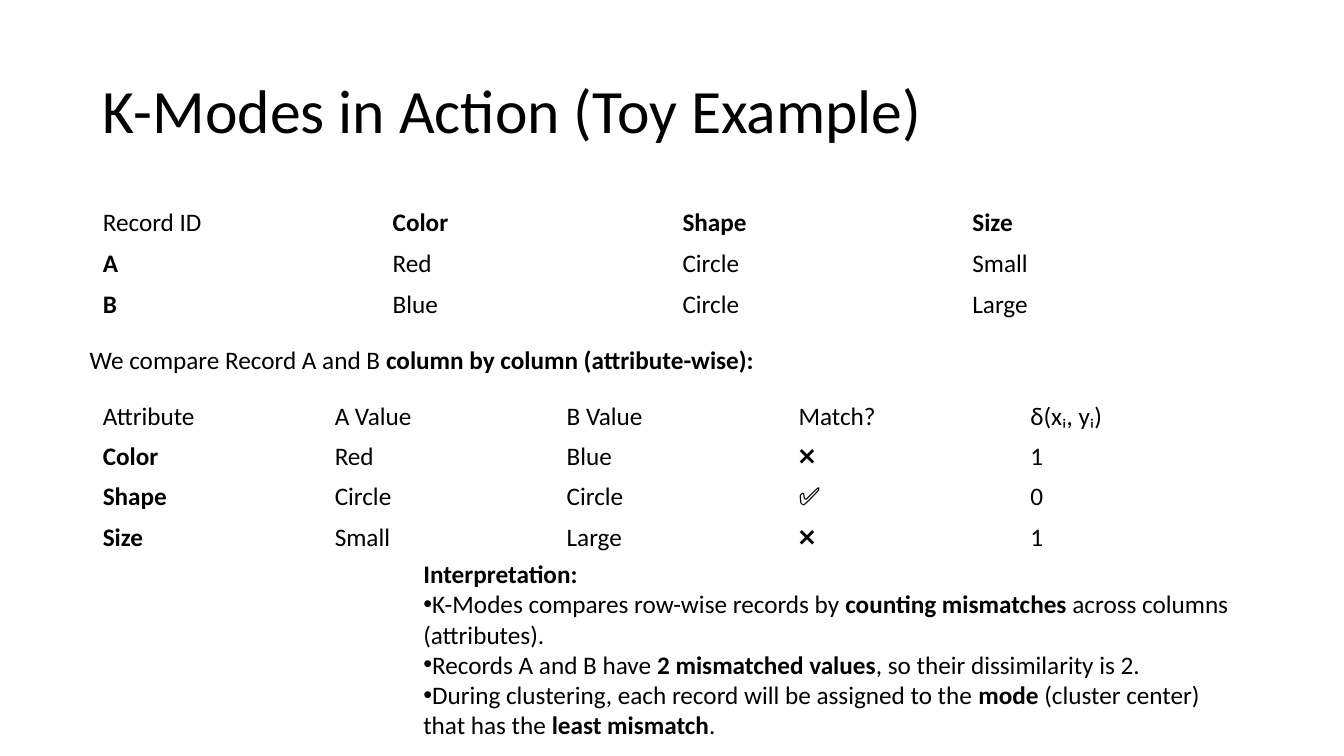
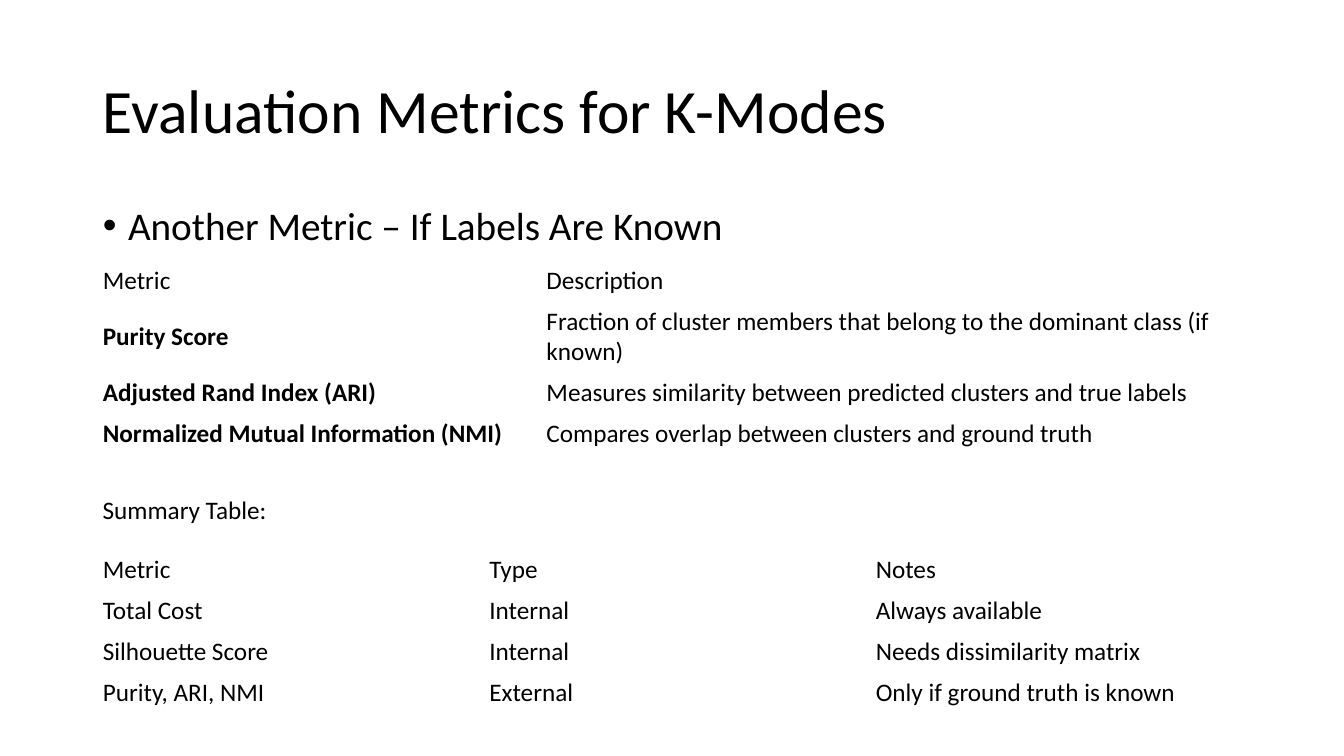
from lxml.etree import SubElement
from pptx import Presentation
from pptx.dml.color import RGBColor
from pptx.enum.text import MSO_ANCHOR as Anchor, MSO_AUTO_SIZE as AutoSize, PP_ALIGN as Align
from pptx.oxml.ns import qn
from pptx.util import Emu, Pt

PX = 9144
COLORS = {"text": "000000", "page": "FFFFFF"}
FONT = "Calibri"
LEFT, WIDTH = 92, 1150
ROW_HEIGHT = 40
TITLE_AND_CONTENT, TITLE_ONLY = 1, 5

RECORDS = [
    ["Record ID", "*Color*", "*Shape*", "*Size*"],
    ["*A*", "Red", "Circle", "Small"],
    ["*B*", "Blue", "Circle", "Large"],
]
COMPARISON = [
    ["Attribute", "A Value", "B Value", "Match?", "δ(xᵢ, yᵢ)"],
    ["*Color*", "Red", "Blue", "❌", "1"],
    ["*Shape*", "Circle", "Circle", "✅", "0"],
    ["*Size*", "Small", "Large", "❌", "1"],
]
INTERPRETATION = [
    "K-Modes compares row-wise records by *counting mismatches* across columns (attributes).",
    "Records A and B have *2 mismatched values*, so their dissimilarity is 2.",
    "During clustering, each record will be assigned to the *mode* (cluster center) "
    "that has the *least mismatch*.",
]
LABEL_METRICS = [
    ["Metric", "Description"],
    ["*Purity Score*", "Fraction of cluster members that belong to the dominant class (if known)"],
    ["*Adjusted Rand Index (ARI)*", "Measures similarity between predicted clusters and true labels"],
    ["*Normalized Mutual Information (NMI)*", "Compares overlap between clusters and ground truth"],
]
SUMMARY = [
    ["Metric", "Type", "Notes"],
    ["Total Cost", "Internal", "Always available"],
    ["Silhouette Score", "Internal", "Needs dissimilarity matrix"],
    ["Purity, ARI, NMI", "External", "Only if ground truth is known"],
]


def px(length):
    return Emu(length * PX)


def apply(target, values):
    for name, value in values.items():
        setattr(target, name, value)


def place(shape, left, top, width, height):
    apply(shape, {"left": px(left), "top": px(top), "width": px(width), "height": px(height)})


def write(para, text, size=18):
    """Fill a paragraph; the parts between asterisks are bold."""
    for index, part in enumerate(text.split("*")):
        if part:
            span = para.add_run()
            span.text = part
            apply(span.font, {"name": FONT, "size": Pt(size), "bold": index % 2 == 1})
            span.font.color.rgb = RGBColor.from_string(COLORS["text"])


def add_bullet(para, indent=0):
    properties = para._p.get_or_add_pPr()
    properties.set("marL", str(px(indent)))
    properties.set("indent", str(px(-indent)))
    SubElement(properties, qn("a:buFont"), typeface="Arial")
    SubElement(properties, qn("a:buChar"), char="•")


def add_page(deck, layout, title):
    page = deck.slides.add_slide(deck.slide_layouts[layout])
    page.background.fill.solid()
    page.background.fill.fore_color.rgb = RGBColor.from_string(COLORS["page"])
    place(page.shapes.title, LEFT, 40, WIDTH, 145)
    frame = page.shapes.title.text_frame
    apply(frame, {"vertical_anchor": Anchor.MIDDLE, "auto_size": AutoSize.NONE, "word_wrap": True})
    para = frame.paragraphs[0]
    apply(para, {"alignment": Align.LEFT, "line_spacing": 0.9})
    write(para, title, 44)
    return page


def fill_body(page, text):
    body = page.placeholders[1]
    place(body, LEFT, 200, WIDTH, 476)
    body.text_frame.auto_size = AutoSize.NONE
    para = body.text_frame.paragraphs[0]
    apply(para, {"line_spacing": 0.9, "space_before": Pt(10)})
    add_bullet(para, 25)
    write(para, text, 28)


def add_text(page, left, top, width, height, text, bullets=(), wrap=True):
    box = page.shapes.add_textbox(px(left), px(top), px(width), px(height))
    frame = box.text_frame
    apply(frame, {"word_wrap": wrap, "auto_size": AutoSize.SHAPE_TO_FIT_TEXT})
    write(frame.paragraphs[0], text)
    for bullet in bullets:
        para = frame.add_paragraph()
        add_bullet(para)
        write(para, bullet)


def add_grid(page, top, rows, widths=None):
    """Add a plain table; columns are equal unless widths are given."""
    count = len(rows[0])
    widths = widths or [WIDTH / count] * count
    table = page.shapes.add_table(len(rows), count, px(LEFT), px(top), px(WIDTH),
                                  px(ROW_HEIGHT * len(rows))).table
    apply(table, {"first_row": False, "horz_banding": False})
    for column, width in zip(table.columns, widths):
        column.width = px(width)
    for row, texts in zip(table.rows, rows):
        for cell, text in zip(row.cells, texts):
            cell.fill.background()
            cell.vertical_anchor = Anchor.MIDDLE
            write(cell.text_frame.paragraphs[0], text)


def add_example_page(deck):
    page = add_page(deck, TITLE_ONLY, "K-Modes in Action (Toy Example)")
    add_grid(page, 201, RECORDS)
    add_text(page, 79, 337, 949, 40,
             "We compare Record A and B *column by column (attribute-wise):*")
    add_grid(page, 393, COMPARISON)
    add_text(page, 410, 549, 832, 192, "*Interpretation:*", INTERPRETATION)


def add_metrics_page(deck):
    page = add_page(deck, TITLE_AND_CONTENT, "Evaluation Metrics for K-Modes")
    fill_body(page, "Another Metric – If Labels Are Known")
    add_grid(page, 258, LABEL_METRICS, [440, 710])
    add_grid(page, 545, SUMMARY)
    add_text(page, LEFT, 486, 185, 40, "Summary Table:", wrap=False)


def main():
    deck = Presentation()
    apply(deck, {"slide_width": px(1333), "slide_height": px(750)})
    add_example_page(deck)
    add_metrics_page(deck)
    deck.save("out.pptx")


if __name__ == "__main__":
    main()
